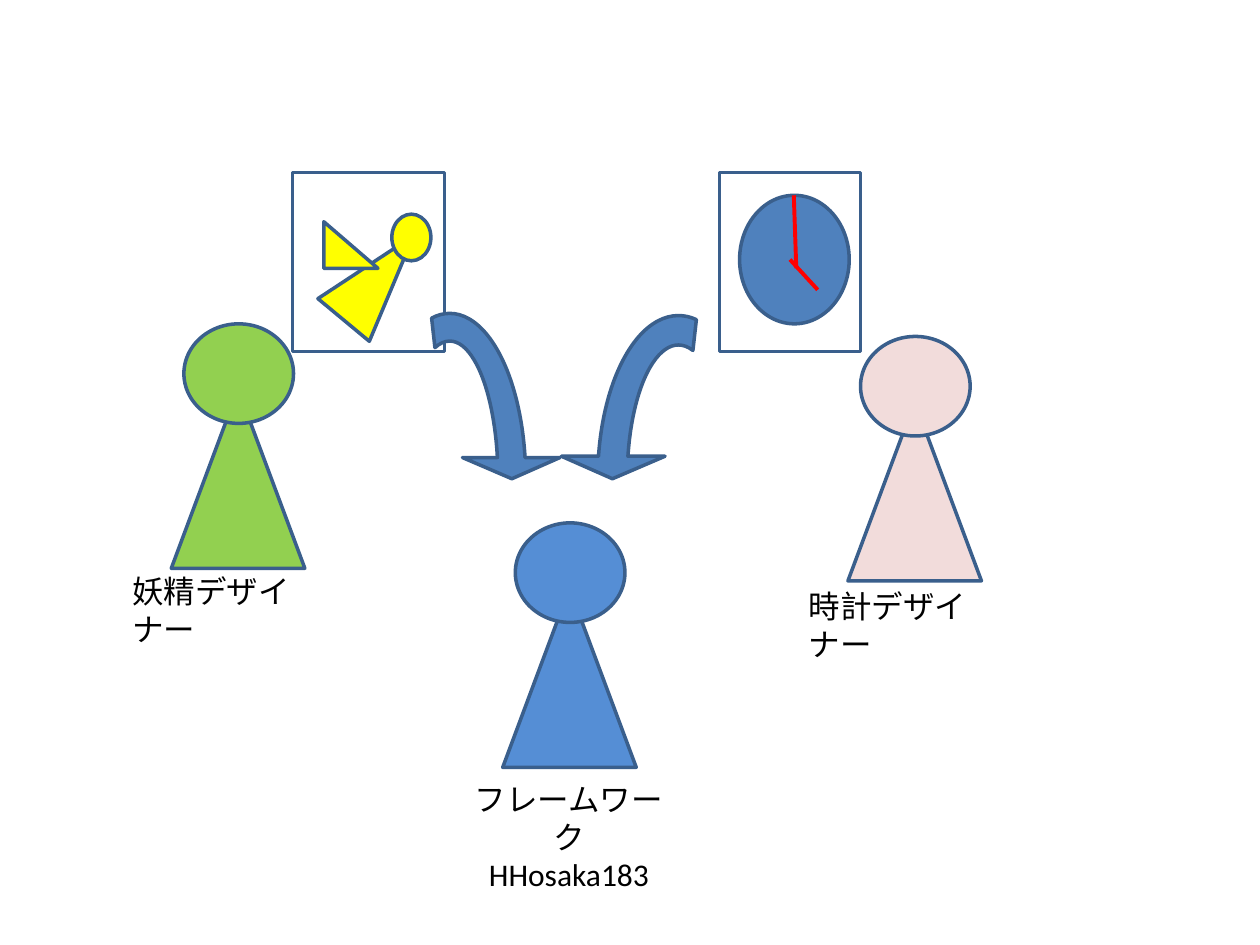
from lxml import etree
from pptx import Presentation
from pptx.dml.color import RGBColor
from pptx.enum.shapes import MSO_CONNECTOR as Wire, MSO_SHAPE as Kind
from pptx.enum.text import MSO_ANCHOR as Anchor, PP_ALIGN as Align
from pptx.oxml.ns import qn
from pptx.util import Inches, Pt

GREEN = RGBColor(0x92, 0xD0, 0x50)
SKY = RGBColor(0x55, 0x8E, 0xD5)
PINK = RGBColor(0xF2, 0xDC, 0xDB)
YELLOW = RGBColor(0xFF, 0xFF, 0x00)
BLUE = RGBColor(0x4F, 0x81, 0xBD)
NAVY = RGBColor(0x3A, 0x5F, 0x8C)
RED = RGBColor(0xFF, 0x00, 0x00)
WHITE = RGBColor(0xFF, 0xFF, 0xFF)
BLACK = RGBColor(0x00, 0x00, 0x00)


class Board:
    """Draw styled elements on one slide."""

    font = {"name": "Calibri", "size": Pt(18)}
    frame = {"word_wrap": True, "vertical_anchor": Anchor.TOP}

    def __init__(self, slide):
        self.shapes = slide.shapes

    def put(self, item, values):
        for key, value in values.items():
            setattr(item, key, value)

    def shape(self, kind, box, fill, turn=0, adjust=()):
        item = self.shapes.add_shape(kind, *map(Inches, box))
        item.shadow.inherit = False
        item.fill.solid()
        item.fill.fore_color.rgb = fill
        item.line.color.rgb = NAVY
        self.put(item.line, {"width": Pt(2)})
        self.put(item, {"rotation": turn})
        for index, value in enumerate(adjust):
            item.adjustments[index] = value
        return item

    def text(self, box, lines, align):
        frame = self.shapes.add_textbox(*map(Inches, box)).text_frame
        self.put(frame, self.frame)
        frame.text = "\n".join(lines)
        for para in frame.paragraphs:
            para.alignment = align
            self.put(para.font, self.font)
            para.font.color.rgb = BLACK

    def hand(self, *ends):
        item = self.shapes.add_connector(Wire.STRAIGHT, *map(Inches, ends))
        item.line.color.rgb = RED
        self.put(item.line, {"width": Pt(2.25)})
        etree.SubElement(item._element.spPr, qn("a:effectLst"))

    def person(self, left, top, fill, box, lines, align=Align.LEFT):
        self.shape(Kind.ISOSCELES_TRIANGLE, (left, top, 1.06, 1.42), fill)
        self.shape(Kind.OVAL, (left + 0.1, top - 0.52, 0.87, 0.79), fill)
        self.text(box, lines, align)

    def fairy(self):
        self.shape(Kind.RECTANGLE, (2.32, 1.37, 1.21, 1.42), WHITE)
        self.shape(Kind.ISOSCELES_TRIANGLE, (2.74, 1.77, 0.53, 0.87), YELLOW, 39.7)
        self.shape(Kind.OVAL, (3.11, 1.7, 0.31, 0.37), YELLOW)
        self.shape(Kind.RIGHT_TRIANGLE, (2.57, 1.76, 0.43, 0.37), YELLOW)

    def clock(self):
        self.shape(Kind.RECTANGLE, (5.71, 1.37, 1.12, 1.42), WHITE)
        self.shape(Kind.OVAL, (5.87, 1.55, 0.87, 1.02), BLUE)
        self.hand(6.3, 1.55, 6.32, 2.13)
        self.hand(6.27, 2.06, 6.49, 2.3)

    def arrow(self, left, width, flip=False):
        bend = (0.125, 11.42, 204.58, 158.14, 0.22)
        item = self.shape(Kind.CIRCULAR_ARROW, (left, 2.21, width, 3.18), BLUE, adjust=bend)
        if flip:
            item._element.spPr.find(qn("a:xfrm")).set("flipH", "1")


deck = Presentation()
deck.slide_width, deck.slide_height = Inches(10), Inches(7.5)
board = Board(deck.slides.add_slide(deck.slide_layouts[6]))

board.person(1.36, 3.09, GREEN, (0.95, 4.49, 1.89, 0.4), ["妖精デザイナー"])
board.person(3.99, 4.67, SKY, (3.62, 6.14, 1.79, 0.71),
             ["フレームワーク", "HHosaka183"], Align.CENTER)
board.person(6.73, 3.19, PINK, (6.32, 4.61, 1.89, 0.4), ["時計デザイナー"])
board.fairy()
board.clock()
board.arrow(2.69, 1.76)
board.arrow(4.45, 1.87, flip=True)

deck.save("out.pptx")
